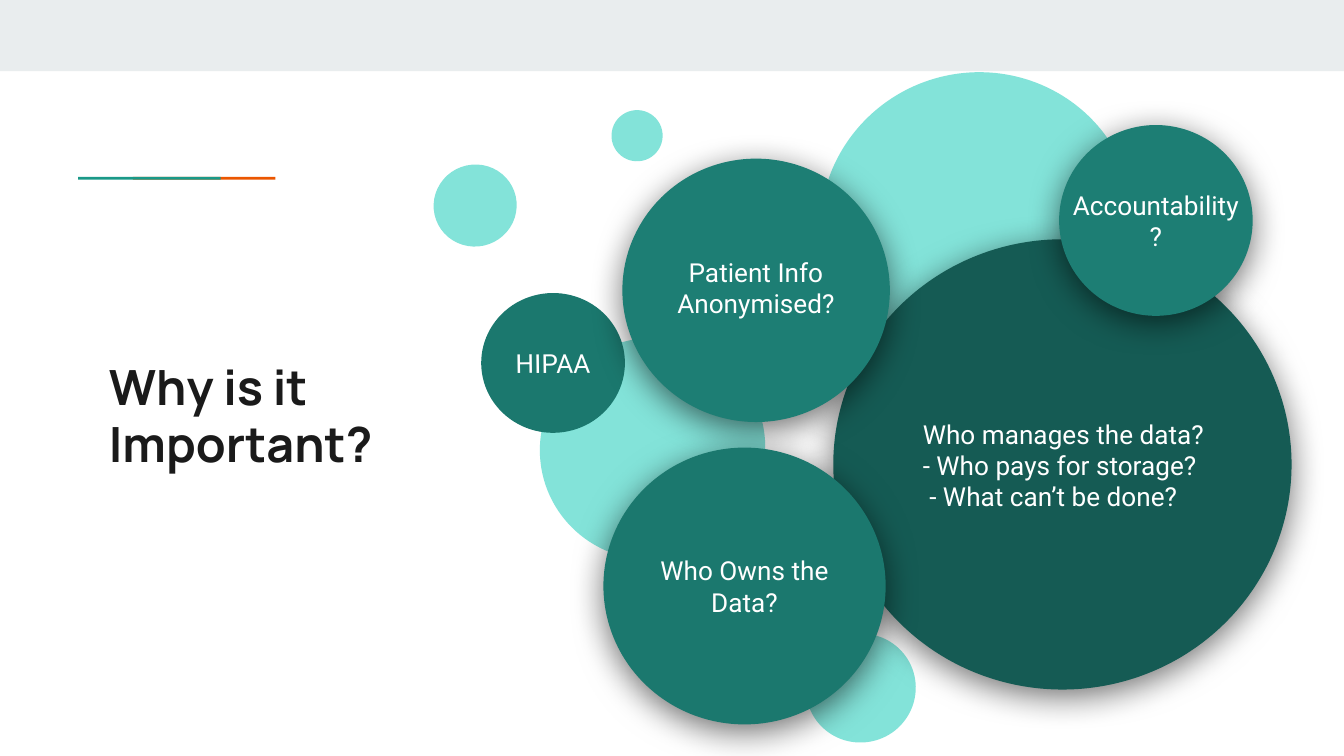
import pptx
import pptx.util
import pptx.dml.color
import pptx.enum.shapes
import pptx.enum.text
import pptx.oxml.ns
import lxml.etree

Pt = pptx.util.Pt
qn = pptx.oxml.ns.qn
SHAPES = pptx.enum.shapes.MSO_SHAPE
ALIGN = pptx.enum.text.PP_ALIGN
ANCHOR = pptx.enum.text.MSO_ANCHOR
COLORS = {
    "band": "E9EDEE", "orange": "EB5600", "teal": "1A9988", "ink": "1A1A1A",
    "mint": "83E3D9", "deep": "155B54", "green": "1B786E", "bright": "1D7E74",
    "white": "FFFFFF", "shadow": "000000",
}


def write_text(frame, text, font="Roboto", size=14, color="white", bold=False,
               align=ALIGN.CENTER, anchor=ANCHOR.MIDDLE, wrap=True, spacing=None, inset=7.2):
    frame.auto_size = pptx.enum.text.MSO_AUTO_SIZE.NONE
    frame.word_wrap = wrap
    frame.vertical_anchor = anchor
    frame.margin_left = Pt(inset)
    frame.margin_right = frame.margin_top = frame.margin_bottom = Pt(7.2)
    frame.text = text
    for paragraph in frame.paragraphs:
        paragraph.alignment = align
        paragraph.space_before = Pt(0)
        if spacing:
            paragraph.line_spacing = Pt(spacing)
        for run in paragraph.runs:
            run.font.name = font
            run.font.size = Pt(size)
            run.font.bold = bold
            run.font.color.rgb = pptx.dml.color.RGBColor.from_string(COLORS[color])


def add_shape(kind, left, top, width, height, color, rotation=0, shadow=False):
    shape = slide.shapes.add_shape(kind, Pt(left), Pt(top), Pt(width), Pt(height))
    shape.rotation = rotation
    shape.fill.solid()
    shape.fill.fore_color.rgb = pptx.dml.color.RGBColor.from_string(COLORS[color])
    shape.line.fill.background()
    shape.shadow.inherit = False
    if shadow:
        effects = shape.element.spPr.find(qn("a:effectLst"))
        outer = lxml.etree.SubElement(
            effects, qn("a:outerShdw"), blurRad=str(Pt(18)), dist=str(Pt(4)),
            dir="5400000", algn="bl", rotWithShape="0")
        tone = lxml.etree.SubElement(outer, qn("a:srgbClr"), val=COLORS["shadow"])
        lxml.etree.SubElement(tone, qn("a:alpha"), val="55000")
    return shape


presentation = pptx.Presentation()
presentation.slide_width = Pt(720)
presentation.slide_height = Pt(405)
slide = presentation.slides.add_slide(presentation.slide_layouts[5])

add_shape(SHAPES.RECTANGLE, 0, 0, 720, 38.2, "band")
for left, color in [(71.2, "orange"), (41.8, "teal")]:
    add_shape(SHAPES.RECTANGLE, left, 94.8, 76.4, 1.5, color)

title = slide.shapes.title
title.left, title.top, title.width, title.height = Pt(51.1), Pt(184), Pt(180), Pt(42.5)
write_text(title.text_frame, "Why is it Important?", font="Manrope", size=26, color="ink",
           bold=True, align=ALIGN.LEFT, anchor=ANCHOR.TOP, spacing=31)

bubbles = [
    (432, 339.1, 58.3, 59), (232.6, 87.8, 43.9, 44.6), (290.2, 180, 118.8, 121),
    (440.6, 37.4, 166.3, 169.2), (327.6, 59, 27.4, 27.4),
]
for left, top, width, height in bubbles:
    add_shape(SHAPES.OVAL, left, top, width, height, "mint", rotation=250)

hipaa = add_shape(SHAPES.OVAL, 257.8, 157, 77, 74.9, "green", rotation=359.3)
write_text(hipaa.text_frame, "HIPAA", wrap=False)

topics = [
    ("Who manages the data?\n- Who pays for storage?\n- What can’t be done?", "deep",
     (446.4, 128.2, 245.5, 241.2), (480.2, 184.3, 201.6, 129.6),
     {"align": ALIGN.LEFT, "inset": 14.2}),
    ("Patient Info Anonymised?", "bright",
     (333.4, 85, 143.3, 141.1), (341.3, 91.4, 127.4, 125.3), {}),
    ("Who Owns the Data?", "green",
     (323.3, 239.8, 151.2, 148.3), (344.9, 267.1, 108, 93.6), {}),
    ("Accountability?", "bright",
     (567.4, 67, 103.7, 102.2), (567.4, 67, 103.7, 102.2), {}),
]
for text, color, circle, area, text_format in topics:
    add_shape(SHAPES.OVAL, *circle, color, shadow=True)
    label = slide.shapes.add_textbox(*[Pt(length) for length in area])
    write_text(label.text_frame, text, **text_format)
    if text_format:
        last_paragraph = label.text_frame.paragraphs[-1]
        last_paragraph._p.get_or_add_pPr().set("marL", str(Pt(3.5)))

presentation.save("out.pptx")
